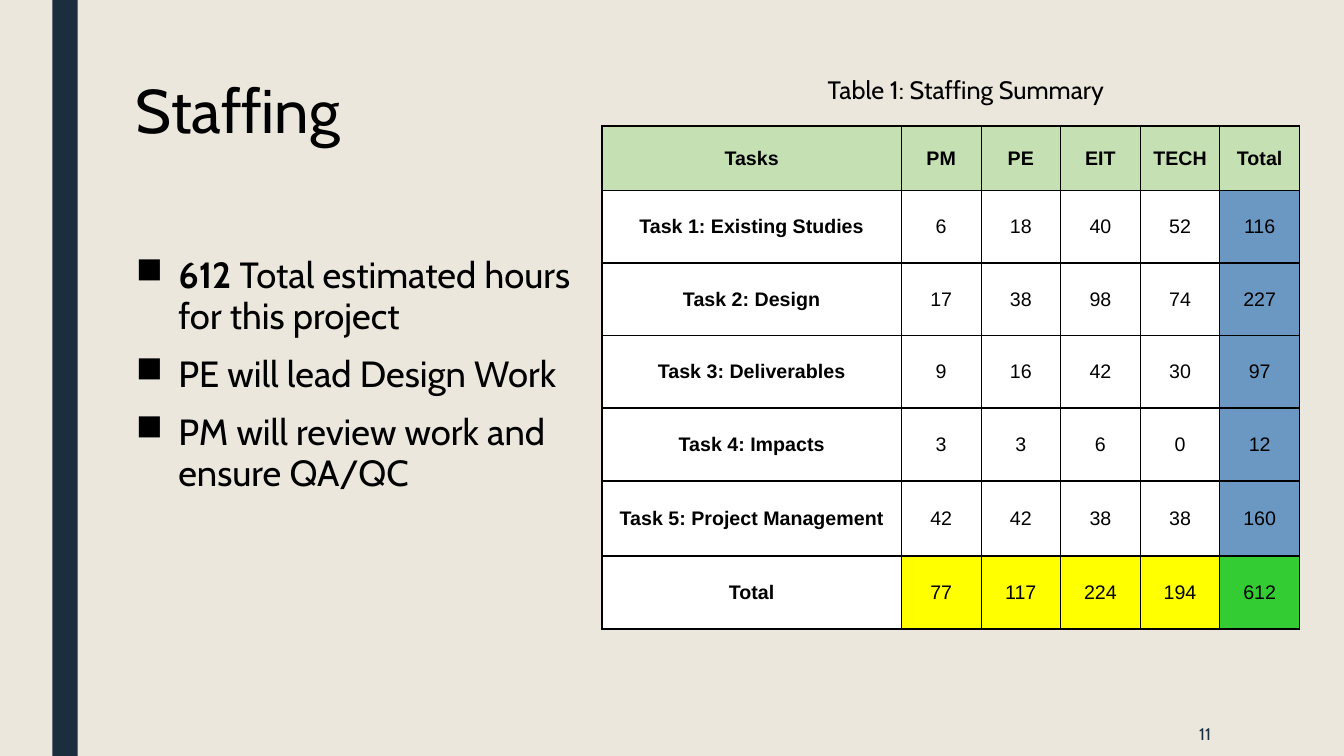
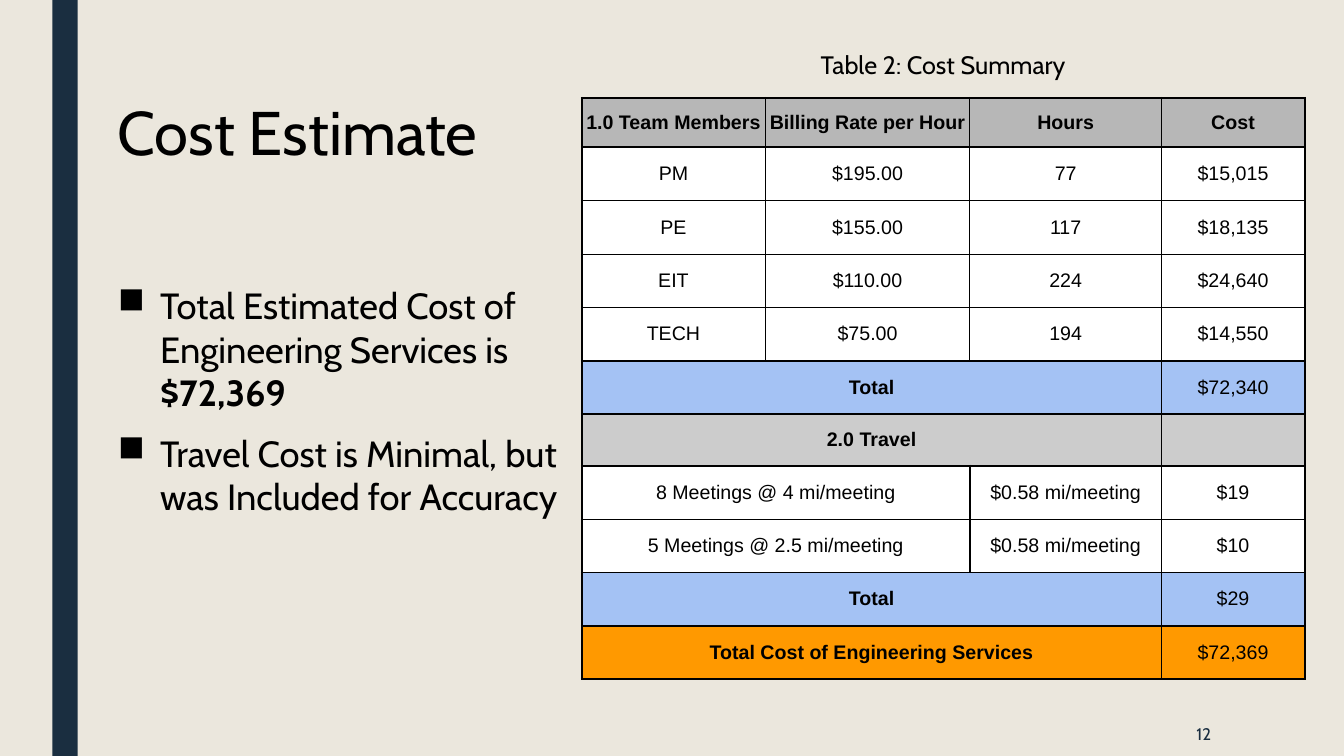
from dataclasses import dataclass

from lxml import etree
from pptx import Presentation
from pptx.dml.color import RGBColor
from pptx.enum import shapes, text
from pptx.oxml import ns
from pptx.util import Inches, Pt

CREAM = RGBColor(0xEB, 0xE7, 0xDD)
NAVY = RGBColor(0x1A, 0x2E, 0x40)
BLACK = RGBColor(0x00, 0x00, 0x00)
WHITE = RGBColor(0xFF, 0xFF, 0xFF)
SAGE = RGBColor(0xC5, 0xE0, 0xB3)
STEEL = RGBColor(0x6A, 0x98, 0xC2)
YELLOW = RGBColor(0xFF, 0xFF, 0x00)
GREEN = RGBColor(0x33, 0xCC, 0x33)
GREY = RGBColor(0xB7, 0xB7, 0xB7)
SILVER = RGBColor(0xCC, 0xCC, 0xCC)
SKY = RGBColor(0xA4, 0xC2, 0xF4)
ORANGE = RGBColor(0xFF, 0x99, 0x00)

BODY_FONT = "Cabin"
TABLE_FONT = "Arial"
THICK, THIN = Pt(1.5), Pt(0.75)
HANG = Inches(0.42)


@dataclass
class Row:
    """A table row; None continues the cell to its left, bold counts leading bold columns."""
    cells: tuple
    height: float
    fills: tuple = (WHITE, WHITE, WHITE)  # first, middle and last columns
    bold: int = 0
    top: int = THICK


def style_font(font, size, color=BLACK, name=BODY_FONT, bold=None):
    font.name, font.size, font.bold = name, Pt(size), bold
    font.color.rgb = color


def add_text_frame(slide, left, top, width, height):
    box = slide.shapes.add_textbox(Inches(left), Inches(top), Inches(width), Inches(height))
    box.text_frame.word_wrap = True
    return box.text_frame


def add_line(slide, words, at, size, color=BLACK):
    frame = add_text_frame(slide, *at)
    paragraph = frame.paragraphs[0]
    paragraph.text = words
    style_font(paragraph.font, size, color)
    return frame


def add_title(slide, words, left, top):
    frame = add_line(slide, words, (left, top, 10.5, 1.62), 44)
    frame.paragraphs[0].line_spacing = 0.89


def add_page_number(slide, number):
    frame = add_line(slide, str(number), (10.36, 7.06, 1.75, 0.44), 12, NAVY)
    frame.vertical_anchor = text.MSO_ANCHOR.MIDDLE
    frame.paragraphs[0].alignment = text.PP_ALIGN.RIGHT


def add_bullets(slide, points, at, line_spacing):
    """Each point is a list of (words, bold) pairs."""
    frame = add_text_frame(slide, *at)
    for index, point in enumerate(points):
        paragraph = frame.add_paragraph() if index else frame.paragraphs[0]
        paragraph.line_spacing = line_spacing
        paragraph.space_before, paragraph.space_after = Pt(10), Pt(2)
        properties = paragraph._p.get_or_add_pPr()
        properties.set("marL", str(HANG))
        properties.set("indent", str(-HANG))
        etree.SubElement(properties, ns.qn("a:buChar"), char="■")
        style_font(paragraph.font, 26)
        for words, bold in point:
            run = paragraph.add_run()
            run.text = words
            run.font.bold = bold


def set_borders(cell, **widths):
    """Draw the sides L, R, T and B, in that order, before the cell is filled."""
    properties = cell._tc.get_or_add_tcPr()
    for side, width in widths.items():
        line = etree.SubElement(properties, ns.qn(f"a:ln{side}"), w=str(width))
        fill = etree.SubElement(line, ns.qn("a:solidFill"))
        etree.SubElement(fill, ns.qn("a:srgbClr"), val=str(BLACK))


def find_spans(cells):
    """Return (first column, column after the last) for each visible cell."""
    starts = [column for column, words in enumerate(cells) if words is not None]
    return list(zip(starts, starts[1:] + [len(cells)]))


def write_cell(cell, words, bold, padding):
    cell.margin_left = cell.margin_right = Inches(0.03)
    cell.margin_top = cell.margin_bottom = Inches(padding)
    cell.vertical_anchor = text.MSO_ANCHOR.MIDDLE
    paragraph = cell.text_frame.paragraphs[0]
    paragraph.text = words
    paragraph.alignment = text.PP_ALIGN.CENTER
    style_font(paragraph.font, 14, name=TABLE_FONT, bold=bold)


def add_grid(slide, left, top, widths, rows, padding):
    frame = slide.shapes.add_table(
        len(rows), len(widths), Inches(left), Inches(top),
        Inches(sum(widths)), Inches(sum(row.height for row in rows)))
    table = frame.table
    table.first_row = table.horz_banding = False
    for column, width in zip(table.columns, widths):
        column.width = Inches(width)

    last = len(widths)
    bottoms = [row.top for row in rows[1:]] + [THICK]
    for r, (row, bottom) in enumerate(zip(rows, bottoms)):
        table.rows[r].height = Inches(row.height)
        spans = find_spans(row.cells)
        heavy = {0, last} | {end for start, end in spans if end - start > 1}
        for start, end in spans:
            first, middle, final = row.fills
            fill = first if start == 0 else final if end == last else middle
            for c in range(start, end):
                cell = table.cell(r, c)
                set_borders(cell, L=THICK if start in heavy else THIN,
                            R=THICK if end in heavy else THIN, T=row.top, B=bottom)
                cell.fill.solid()
                cell.fill.fore_color.rgb = fill
            origin = table.cell(r, start)
            if end - start > 1:
                origin.merge(table.cell(r, end - 1))
            write_cell(origin, row.cells[start], start < row.bold, padding)


def style_layout(layout, slide):
    """Give the layout the cream background and the navy band, drawn by way of a slide."""
    for placeholder in list(layout.placeholders):
        placeholder.element.getparent().remove(placeholder.element)
    layout.background.fill.solid()
    layout.background.fill.fore_color.rgb = CREAM
    band = slide.shapes.add_shape(shapes.MSO_SHAPE.RECTANGLE,
                                  Inches(0.52), 0, Inches(0.25), Inches(7.5))
    band.shadow.inherit = False
    band.fill.solid()
    band.fill.fore_color.rgb = NAVY
    band.line.fill.background()
    layout.element.cSld.spTree.append(band.element)


def build_staffing(slide):
    add_title(slide, "Staffing", 1.25, 0.75)
    add_bullets(slide, [
        [("612", True), (" Total estimated hours for this project", False)],
        [("PE will lead Design Work", False)],
        [("PM will review work and ensure QA/QC", False)],
    ], (1.25, 2.49, 4.72, 3.92), 0.94)

    task_fills = (WHITE, WHITE, STEEL)
    rows = [
        Row(("Tasks", "PM", "PE", "EIT", "TECH", "Total"), 0.64, (SAGE,) * 3, 6),
        Row(("Task 1: Existing Studies", "6", "18", "40", "52", "116"), 0.72, task_fills, 1),
        Row(("Task 2: Design", "17", "38", "98", "74", "227"), 0.72, task_fills, 1),
        Row(("Task 3: Deliverables", "9", "16", "42", "30", "97"), 0.72, task_fills, 1),
        Row(("Task 4: Impacts", "3", "3", "6", "0", "12"), 0.72, task_fills, 1),
        Row(("Task 5: Project Management", "42", "42", "38", "38", "160"), 0.75, task_fills, 1),
        Row(("Total", "77", "117", "224", "194", "612"), 0.72, (WHITE, YELLOW, GREEN), 1),
    ]
    add_grid(slide, 5.97, 1.25, [2.97] + [0.79] * 5, rows, 0.1)
    add_page_number(slide, 11)
    add_line(slide, "Table 1: Staffing Summary", (8.11, 0.69, 3.12, 0.4), 18)


def build_cost_estimate(slide):
    add_title(slide, "Cost Estimate", 1.07, 0.97)
    add_bullets(slide, [
        [("Total Estimated Cost of Engineering Services is ", False), ("$72,369", True)],
        [("Travel Cost is Minimal, but was Included for Accuracy", False)],
    ], (1.07, 2.76, 4.81, 2.48), 1.0)

    rows = [
        Row(("1.0 Team Members", "Billing Rate per Hour", "Hours", "Cost"), 0.49, (GREY,) * 3, 4),
        Row(("PM", "$195.00", "77", "$15,015"), 0.53),
        Row(("PE", "$155.00", "117", "$18,135"), 0.53, top=THIN),
        Row(("EIT", "$110.00", "224", "$24,640"), 0.53, top=THIN),
        Row(("TECH", "$75.00", "194", "$14,550"), 0.53, top=THIN),
        Row(("Total", None, None, "$72,340"), 0.53, (SKY,) * 3, 1),
        Row(("2.0 Travel", None, None, ""), 0.51, (SILVER,) * 3, 1),
        Row(("8 Meetings @ 4 mi/meeting", None, "$0.58 mi/meeting", "$19"), 0.53),
        Row(("5 Meetings @ 2.5 mi/meeting", None, "$0.58 mi/meeting", "$10"), 0.53, top=THIN),
        Row(("Total", None, None, "$29"), 0.53, (SKY,) * 3, 1),
        Row(("Total Cost of Engineering Services", None, None, "$72,369"), 0.53,
            (ORANGE,) * 3, 1),
    ]
    add_grid(slide, 5.77, 0.97, [1.82, 2.03, 1.9, 1.42], rows, 0.08)
    add_page_number(slide, 12)
    add_line(slide, "Table 2: Cost Summary", (8.04, 0.44, 2.63, 0.4), 18)


def main():
    prs = Presentation()
    prs.slide_width, prs.slide_height = Inches(13.33), Inches(7.5)
    blank = prs.slide_layouts[6]
    staffing = prs.slides.add_slide(blank)
    style_layout(blank, staffing)
    build_staffing(staffing)
    build_cost_estimate(prs.slides.add_slide(blank))
    prs.save("out.pptx")


if __name__ == "__main__":
    main()
